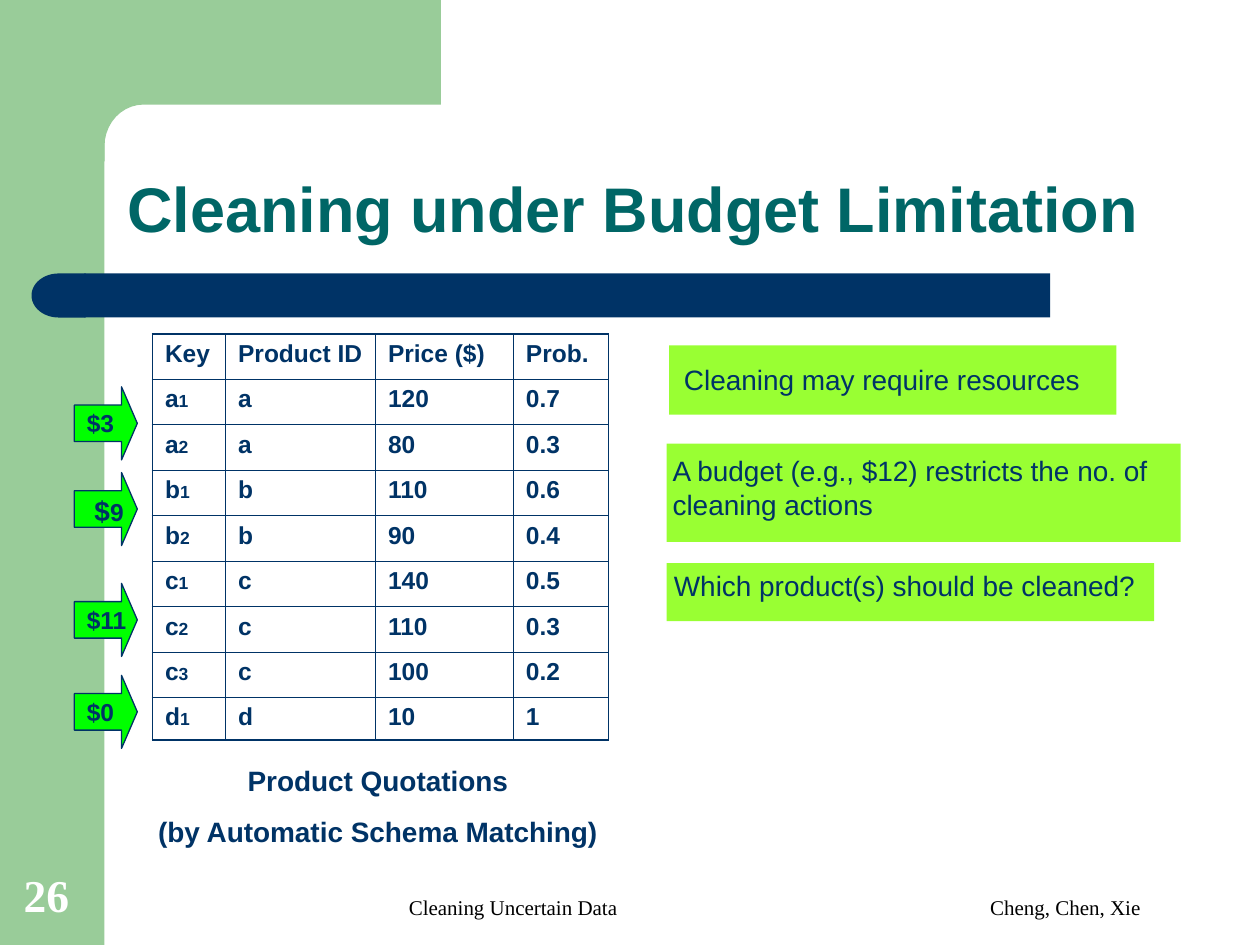
from dataclasses import dataclass
from math import cos, pi, sin

from lxml import etree
from pptx import Presentation
from pptx.dml.color import RGBColor
from pptx.enum.shapes import MSO_SHAPE
from pptx.enum.text import MSO_ANCHOR, MSO_AUTO_SIZE, PP_ALIGN
from pptx.oxml.ns import qn
from pptx.util import Inches, Pt

RECTANGLE, DELAY, ARROW = MSO_SHAPE.RECTANGLE, MSO_SHAPE.FLOWCHART_DELAY, MSO_SHAPE.RIGHT_ARROW
TOP, BOTTOM = MSO_ANCHOR.TOP, MSO_ANCHOR.BOTTOM
LEFT, CENTER, RIGHT = PP_ALIGN.LEFT, PP_ALIGN.CENTER, PP_ALIGN.RIGHT
NO_AUTOFIT = MSO_AUTO_SIZE.NONE

COLUMNS, ROWS = 100, 75
UNIT = Inches(10) / COLUMNS
NAVY, TEAL, SAGE, LIME, GREEN = "003366", "006666", "99CC99", "99FF33", "00FF00"
WHITE, BLACK = "FFFFFF", "000000"
SANS, SERIF = "Arial", "Times New Roman"

HEADINGS = ["Key", "Product ID", "Price ($)", "Prob."]
QUOTATIONS = [
    ("a", 1, "120", "0.7"), ("a", 2, "80", "0.3"),
    ("b", 1, "110", "0.6"), ("b", 2, "90", "0.4"),
    ("c", 1, "140", "0.5"), ("c", 2, "110", "0.3"), ("c", 3, "100", "0.2"),
    ("d", 1, "10", "1"),
]
COLUMN_SPANS = [5.8, 11.9, 10.95, 7.55]
ROW_SPANS = [3.61] * len(QUOTATIONS) + [3.36]
COSTS = [
    (0, [("$3", 14)]),
    (6.8, [(" $", 16), ("9", 14)]),
    (15.6, [("$11", 14)]),
    (22.9, [("$0", 14)]),
]


@dataclass
class Box:
    col: float
    row: float
    cols: float
    rows: float

    def inner(self, col, row, cols, rows):
        return Box(self.col + col, self.row + row, cols, rows)

    def emu(self):
        return [round(n * UNIT) for n in (self.col, self.row, self.cols, self.rows)]


def color(value):
    return RGBColor.from_string(value)


def style(paragraph, size, hue, bold=False, face=SANS, align=LEFT):
    paragraph.alignment = align
    font = paragraph.font
    font.name, font.size, font.bold = face, Pt(size), bold
    font.color.rgb = color(hue)


def add_runs(paragraph, runs):
    for text, size in runs:
        run = paragraph.add_run()
        run.text = text
        run.font.size = Pt(size)


def paint(shape, fill, outline=None):
    shape.shadow.inherit = False
    shape.fill.solid()
    shape.fill.fore_color.rgb = color(fill)
    if outline:
        shape.line.color.rgb = color(outline)
        shape.line.width = Pt(0.75)
    else:
        shape.line.fill.background()


def add_block(shapes, kind, box, fill, outline=None):
    block = shapes.add_shape(kind, *box.emu())
    paint(block, fill, outline)
    return block


def add_text(shapes, box, lines, size, hue, bold=False, face=SANS,
             align=LEFT, anchor=TOP, space=0, indent=0):
    frame = shapes.add_textbox(*box.emu()).text_frame
    frame.word_wrap = True
    frame.vertical_anchor = anchor
    frame.margin_left = Inches(0.1 + indent)
    for index, runs in enumerate(lines):
        paragraph = frame.add_paragraph() if index else frame.paragraphs[0]
        style(paragraph, size, hue, bold, face, align)
        paragraph.space_before = Pt(space)
        add_runs(paragraph, runs)


def add_backdrop(slide, box):
    shapes = slide.shapes.add_group_shape().shapes
    add_block(shapes, RECTANGLE, box.inner(0, 0, 8.3, box.rows), SAGE)
    arc = [(11.4 - 3.1 * sin(step * pi / 20), 11.6 - 3.3 * cos(step * pi / 20))
           for step in range(11)]
    outline = [(5, 0), (35, 0), (35, 8.3), *arc, (8.3, 12.8), (5, 12.8)]
    points = [(round((box.col + x) * UNIT), round((box.row + y) * UNIT)) for x, y in outline]
    builder = shapes.build_freeform(*points[0])
    builder.add_line_segments(points[1:], close=True)
    paint(builder.convert_to_shape(), SAGE)
    add_block(shapes, RECTANGLE, box.inner(6.7, 21.7, 76.65, 3.5), NAVY)
    add_block(shapes, DELAY, box.inner(2.5, 21.7, 4.3, 3.5), NAVY).rotation = 180


def add_title(slide, box):
    title = slide.shapes.title
    title.left, title.top, title.width, title.height = box.emu()
    frame = title.text_frame
    frame.text = "Cleaning under Budget Limitation"
    frame.auto_size = NO_AUTOFIT
    frame.word_wrap = True
    frame.vertical_anchor = BOTTOM
    style(frame.paragraphs[0], 36, TEAL, bold=True)
    frame.paragraphs[0].line_spacing = 0.9


def set_borders(cell, outer_sides):
    properties = cell._tc.get_or_add_tcPr()
    for position, side in enumerate("LRTB"):
        width = Pt(1.08 if side in outer_sides else 0.45)
        line = etree.Element(qn(f"a:ln{side}"), w=str(width))
        fill = etree.SubElement(line, qn("a:solidFill"))
        etree.SubElement(fill, qn("a:srgbClr"), val=NAVY)
        properties.insert(position, line)


def add_quotations(slide, box):
    records = [[[(heading, 14)] for heading in HEADINGS]]
    for product, version, price, probability in QUOTATIONS:
        records.append([[(product, 14), (str(version), 10)], [(product, 14)],
                        [(price, 14)], [(probability, 14)]])
    last_row, last_column = len(records) - 1, len(HEADINGS) - 1
    table = slide.shapes.add_table(len(records), len(HEADINGS), *box.emu()).table
    table.first_row = table.horz_banding = False
    for column, span in zip(table.columns, COLUMN_SPANS):
        column.width = round(span * UNIT)
    for row, span in zip(table.rows, ROW_SPANS):
        row.height = round(span * UNIT)
    for r, record in enumerate(records):
        for c, runs in enumerate(record):
            cell = table.cell(r, c)
            cell.fill.background()
            edges = {"L": c == 0, "R": c == last_column, "T": r == 0, "B": r == last_row}
            set_borders(cell, [side for side, outer in edges.items() if outer])
            paragraph = cell.text_frame.paragraphs[0]
            style(paragraph, 14, NAVY, bold=True)
            paragraph.space_before = Pt(2.5 if len(runs) > 1 else 3.5)
            add_runs(paragraph, runs)


def add_costs(slide, box):
    shapes = slide.shapes.add_group_shape().shapes
    for offset, label in COSTS:
        arrow = add_block(shapes, ARROW, box.inner(0, offset, 5, 5.8), GREEN, NAVY)
        arrow.adjustments[0], arrow.adjustments[1] = 0.5, 0.25
        add_text(shapes, box.inner(0, offset + 1.2, 6.8, 3.4), [label], 14, NAVY, bold=True)


def add_remark(slide, box, text, text_box):
    add_block(slide.shapes, RECTANGLE, box, LIME)
    add_text(slide.shapes, box.inner(*text_box), [[(text, 16)]], 16, NAVY)


def add_caption(slide, box):
    lines = ["Product Quotations", "(by Automatic Schema Matching)"]
    add_text(slide.shapes, box, [[(line, 16)] for line in lines], 16, NAVY,
             bold=True, align=CENTER, space=10)


def add_footer(slide, box):
    footers = [
        (box.inner(0.9, 0, 6.4, 5.3), "26", 26, WHITE, True, LEFT, 0),
        (box.inner(26.7, 0, 23.3, 5.2), "Cleaning Uncertain Data", 12, BLACK, False, RIGHT, 0.24),
        (box.inner(67.5, 0, 31.7, 5.2), "Cheng, Chen, Xie", 12, BLACK, False, CENTER, 0.24),
    ]
    for place, text, size, hue, bold, align, indent in footers:
        add_text(slide.shapes, place, [[(text, size)]], size, hue, bold, SERIF,
                 align, BOTTOM, indent=indent)


def main():
    deck = Presentation()
    deck.slide_width, deck.slide_height = round(COLUMNS * UNIT), round(ROWS * UNIT)
    slide = deck.slides.add_slide(deck.slide_layouts[5])
    add_backdrop(slide, Box(0, 0, COLUMNS, ROWS))
    add_title(slide, Box(9.1, 9.1, 85.1, 10.9))
    add_quotations(slide, Box(12.1, 26.5, sum(COLUMN_SPANS), sum(ROW_SPANS)))
    add_caption(slide, Box(10, 60.1, 40, 7.7))
    add_costs(slide, Box(5.9, 30.7, 6.8, 28.7))
    add_remark(slide, Box(53.1, 27.4, 35.5, 5.5),
               "Cleaning may require resources", (0.2, 0.9, 44.9, 3.7))
    add_remark(slide, Box(52.9, 35.2, 40.8, 7.8),
               "A budget (e.g., $12) restricts the no. of cleaning actions", (-0.5, 0.3, 46.7, 6.4))
    add_remark(slide, Box(52.9, 44.7, 38.7, 4.6),
               "Which product(s) should be cleaned?", (-0.4, -0.1, 39.1, 3.7))
    add_footer(slide, Box(0, 68.3, COLUMNS, 5.3))
    deck.save("out.pptx")


if __name__ == "__main__":
    main()
